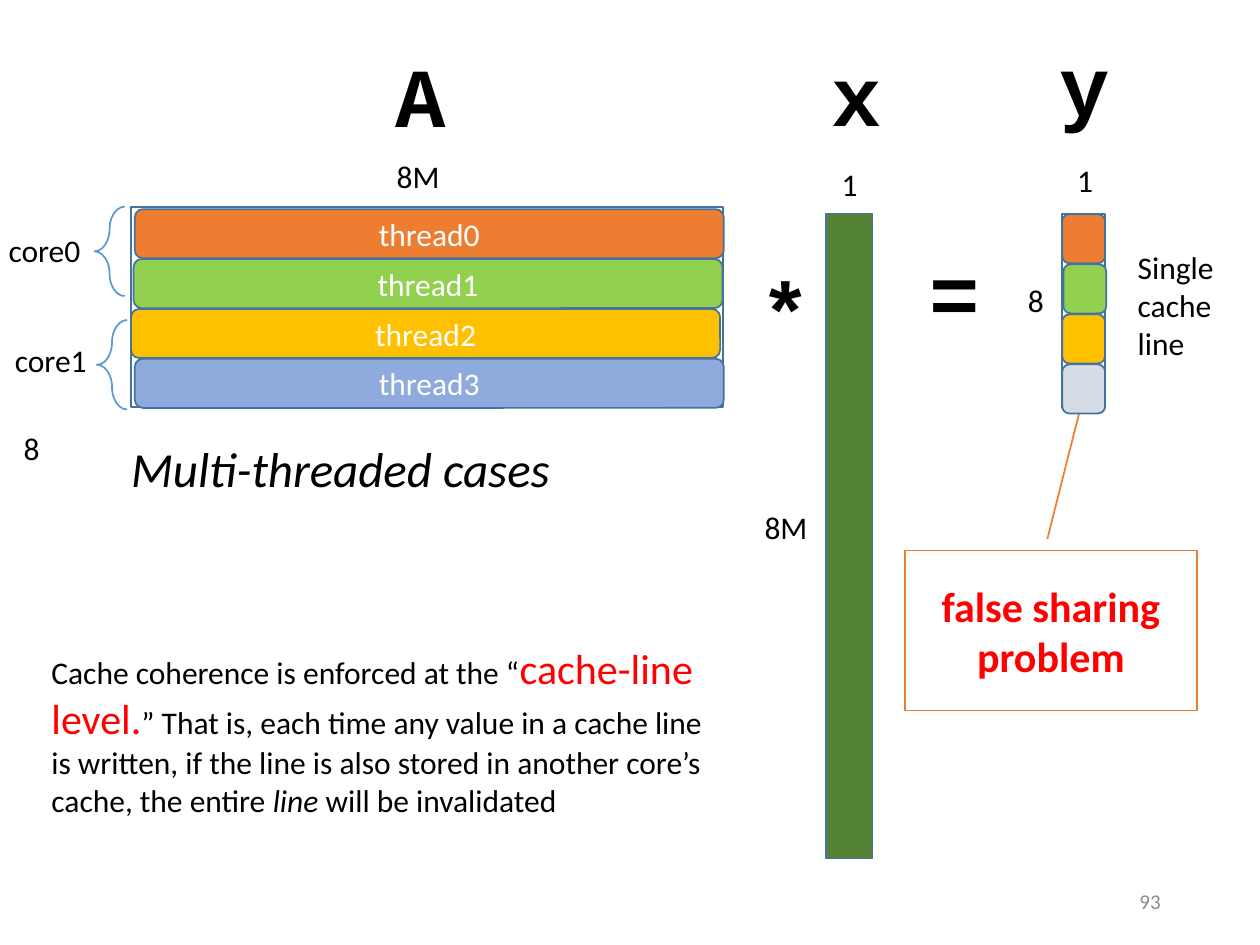
import pptx
import pptx.util
import pptx.dml.color
import pptx.enum.shapes
import pptx.enum.text

Pt = pptx.util.Pt
RGB = pptx.dml.color.RGBColor
SHAPE = pptx.enum.shapes.MSO_SHAPE
ALIGN = pptx.enum.text.PP_ALIGN
ANCHOR = pptx.enum.text.MSO_ANCHOR

BLACK, WHITE, RED = RGB(0, 0, 0), RGB(255, 255, 255), RGB(255, 0, 0)
GREY, NAVY, BLUE = RGB(0x8C, 0x8C, 0x8C), RGB(0x43, 0x73, 0x9E), RGB(0x5B, 0x9B, 0xD5)
ORANGE, LIME, GOLD = RGB(0xED, 0x7D, 0x31), RGB(0x92, 0xD0, 0x50), RGB(0xFF, 0xC0, 0)
PERIWINKLE, PALE = RGB(0x8F, 0xAA, 0xDC), RGB(0xD6, 0xDC, 0xE5)
FOREST = RGB(0x54, 0x82, 0x35)

# Font formats
LABEL = {"name": "Calibri", "size": Pt(18), "color": BLACK}
SYMBOL = {"name": "Courier New", "size": Pt(48), "bold": True, "color": BLACK}
HEADING = {**LABEL, "size": Pt(28), "italic": True}
THREAD = {**LABEL, "color": WHITE}
KEY_TERM = {**LABEL, "size": Pt(24), "color": RED}
PROBLEM = {**KEY_TERM, "bold": True}
PAGE = {**LABEL, "size": Pt(12), "color": GREY}

# Content: text, then left, top, width, height in points
SYMBOLS = [
    ("A", (218.9, 21.6, 39.6, 65.5)),
    ("x", (468, 20.9, 39.6, 65.5)),
    ("y", (598.3, 15.1, 39.6, 65.5)),
    ("*", (427.7, 144, 43.9, 65.5)),
    ("=", (524.2, 133.9, 43.9, 65.5)),
]
LABELS = [
    ("8", (6.5, 241.9, 23.8, 28.8)),
    ("8M", (219.6, 86.4, 39.6, 28.8)),
    ("8M", (429.8, 286.6, 39.6, 28.8)),
    ("1", (473.8, 90.7, 23.8, 28.8)),
    ("8", (580.3, 157, 23.8, 28.8)),
    ("1", (608.4, 88.6, 23.8, 28.8)),
    ("Single\ncache\nline", (643, 138.2, 62.6, 72.7)),
    ("core0", (-2.2, 128.2, 56.2, 28.8)),
    ("core1", (1.4, 191.5, 56.2, 28.8)),
]
MATRIX_A = (74.9, 118.1, 338.4, 114.5)
VECTOR_X = (472, 122, 26.6, 368.6)
VECTOR_Y = (607, 122.4, 24.5, 110.9)
CORE_BRACES = [(54, 118.1, 17.3, 51.1), (55.4, 182.9, 17.3, 51.1)]
# Thread name, left edge in A, colour in A, left edge in y, colour in y
THREADS = [
    ("thread0", 77, ORANGE, 607, ORANGE),
    ("thread1", 76.3, LIME, 607.7, LIME),
    ("thread2", 74.9, GOLD, 607, GOLD),
    ("thread3", 77, PERIWINKLE, 607, PALE),
]
FIRST_ROW, ROW_HEIGHT, ROW_PITCH = 119.5, 28.1, 28.5
FIRST_CELL, CELL_PITCH = 122.4, 28.6
EXPLANATION = [
    ("Cache coherence is enforced at the “", LABEL),
    ("cache-line level.", KEY_TERM),
    ("” That is, each time any value in a cache line is written, if the line "
     "is also stored in another core’s cache, the entire ", LABEL),
    ("line ", {**LABEL, "italic": True}),
    ("will be invalidated", LABEL),
]


def format_font(font, style):
    for key, value in style.items():
        if key == "color":
            font.color.rgb = value
        else:
            setattr(font, key, value)


def write(frame, text, style, align=ALIGN.LEFT, anchor=ANCHOR.TOP):
    frame.vertical_anchor = anchor
    frame.text = text
    for paragraph in frame.paragraphs:
        paragraph.alignment = align
        for run in paragraph.runs:
            format_font(run.font, style)


def add_text(slide, text, box, style, wrap=False, **layout):
    frame = slide.shapes.add_textbox(*map(Pt, box)).text_frame
    frame.word_wrap = wrap
    write(frame, text, style, **layout)
    return frame


def add_figure(slide, kind, box, fill, line=NAVY, adjustments=()):
    figure = slide.shapes.add_shape(kind, *map(Pt, box))
    figure.shadow.inherit = False
    if fill is None:
        figure.fill.background()
    else:
        figure.fill.solid()
        figure.fill.fore_color.rgb = fill
    figure.line.color.rgb = line
    figure.line.width = Pt(1)
    for index, value in enumerate(adjustments):
        figure.adjustments[index] = value
    return figure


def main():
    deck = pptx.Presentation()
    deck.slide_width, deck.slide_height = Pt(720), Pt(540)
    slide = deck.slides.add_slide(deck.slide_layouts[5])

    # Heading
    title = slide.shapes.title
    title.left, title.top, title.width, title.height = map(Pt, (67.7, 247, 316.8, 41))
    write(title.text_frame, "Multi-threaded cases", HEADING)
    title.text_frame.auto_size = pptx.enum.text.MSO_AUTO_SIZE.NONE

    # Matrix and vectors
    for box, fill in ((MATRIX_A, WHITE), (VECTOR_X, FOREST), (VECTOR_Y, WHITE)):
        add_figure(slide, SHAPE.RECTANGLE, box, fill)

    # Symbols and dimensions
    for texts, style in ((SYMBOLS, SYMBOL), (LABELS, LABEL)):
        for text, box in texts:
            add_text(slide, text, box, style)

    # False sharing callout, drawn before the cells it points to
    callout = add_figure(slide, SHAPE.LINE_CALLOUT_1, (517, 314.6, 167, 91.4),
                         WHITE, ORANGE, (-0.072, 0.488, -0.889, 0.601))
    write(callout.text_frame, "false sharing\nproblem", PROBLEM,
          ALIGN.CENTER, ANCHOR.MIDDLE)

    # One row of A and one cell of y per thread
    for index, (name, row_left, row_fill, cell_left, cell_fill) in enumerate(THREADS):
        row_box = (row_left, FIRST_ROW + index * ROW_PITCH, 336.6, ROW_HEIGHT)
        cell_box = (cell_left, FIRST_CELL + index * CELL_PITCH, 24.5, ROW_HEIGHT)
        row = add_figure(slide, SHAPE.ROUNDED_RECTANGLE, row_box, row_fill)
        write(row.text_frame, name, THREAD, ALIGN.CENTER, ANCHOR.MIDDLE)
        add_figure(slide, SHAPE.ROUNDED_RECTANGLE, cell_box, cell_fill)

    # Braces grouping threads by core
    for box in CORE_BRACES:
        add_figure(slide, SHAPE.LEFT_BRACE, box, None, BLUE, (0.75, 0.5))

    # Explanation
    explanation = add_text(slide, "", (22.3, 363.6, 388.8, 108.7), LABEL, wrap=True)
    for text, style in EXPLANATION:
        run = explanation.paragraphs[0].add_run()
        run.text = text
        format_font(run.font, style)

    # Slide number
    add_text(slide, "93", (508.3, 500.4, 162, 28.8), PAGE, wrap=True,
             align=ALIGN.RIGHT, anchor=ANCHOR.MIDDLE)

    deck.save("out.pptx")


if __name__ == "__main__":
    main()
